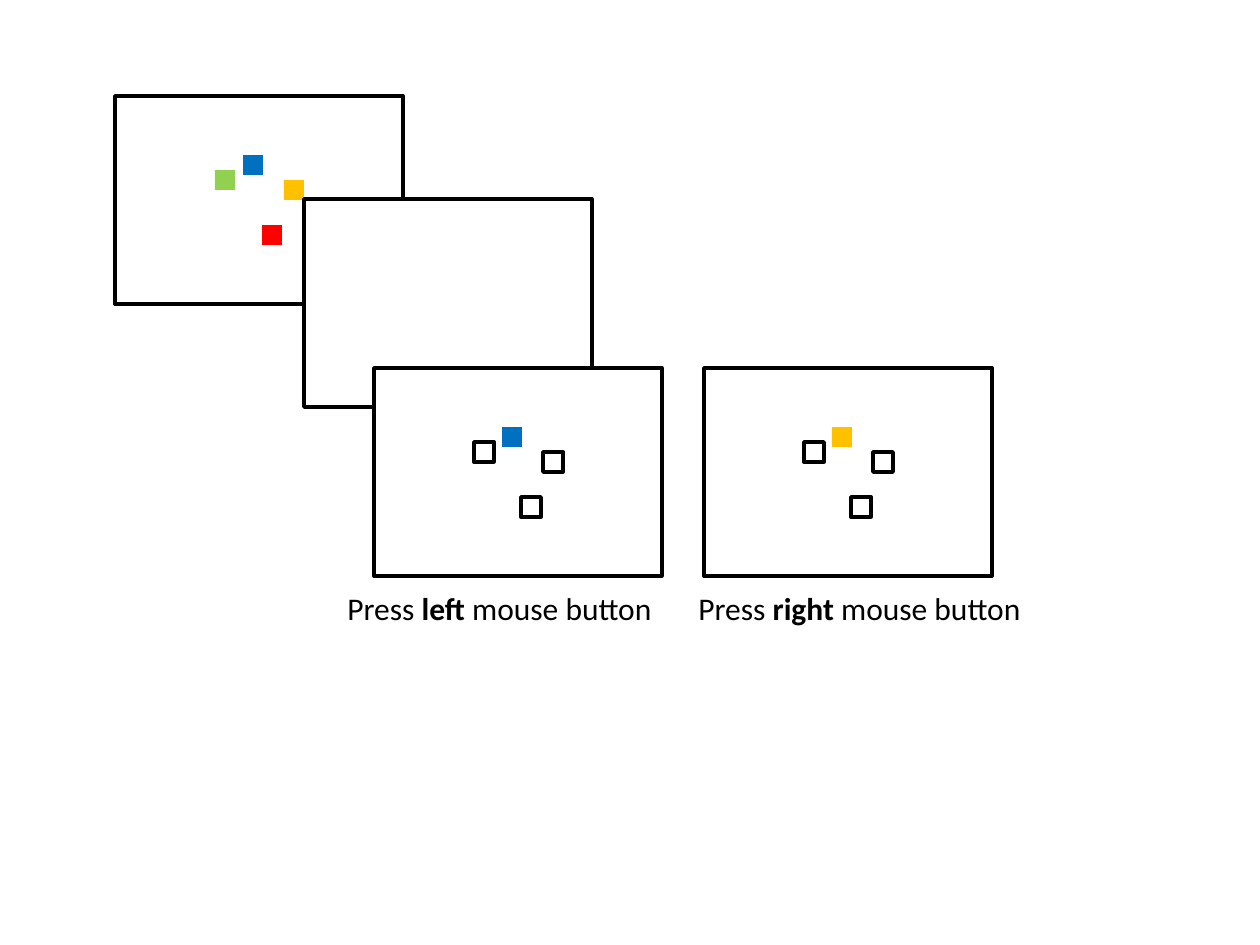
"""Build a slide of a colour-memory trial: study, blank and two test screens."""
import pptx
import pptx.util
import pptx.dml.color
import pptx.enum.shapes
import pptx.enum.text

PIXEL = 914400 / 126
BLACK, WHITE = "000000", "FFFFFF"
BLUE, GOLD, RED, GREEN = "0070C0", "FFC000", "FF0000", "92D050"

SCREEN_SIZE = (288, 208)
SQUARE_SIZE = (20, 20)
SQUARE_OFFSETS = [(128, 59), (169, 84), (147, 129), (100, 74)]

SCREENS = [
    ((115, 96), [BLUE, GOLD, RED, GREEN]),
    ((304, 199), []),
    ((704, 368), [GOLD, None, None, None]),
    ((374, 368), [BLUE, None, None, None]),
]
CAPTIONS = [
    ((335, 583, 333, 50), "left"),
    ((686, 583, 350, 50), "right"),
]


def emu(pixels):
    return pptx.util.Emu(round(pixels * PIXEL))


def colour(value):
    return pptx.dml.color.RGBColor.from_string(value)


def add_rectangle(slide, position, size, fill=None, outlined=False):
    shape = slide.shapes.add_shape(
        pptx.enum.shapes.MSO_SHAPE.RECTANGLE, *map(emu, position + size))
    shape.shadow.inherit = False
    if fill:
        shape.fill.solid()
        shape.fill.fore_color.rgb = colour(fill)
    else:
        shape.fill.background()
    if outlined:
        shape.line.color.rgb = colour(BLACK)
        shape.line.width = pptx.util.Pt(2)
    else:
        shape.line.fill.background()


def add_screen(slide, position, square_fills):
    add_rectangle(slide, position, SCREEN_SIZE, WHITE, outlined=True)
    left, top = position
    for (across, down), fill in zip(SQUARE_OFFSETS, square_fills):
        add_rectangle(slide, (left + across, top + down), SQUARE_SIZE, fill,
                      outlined=fill is None)


def add_caption(slide, box, side):
    frame = slide.shapes.add_textbox(*map(emu, box)).text_frame
    frame.word_wrap = False
    frame.auto_size = pptx.enum.text.MSO_AUTO_SIZE.SHAPE_TO_FIT_TEXT
    paragraph = frame.paragraphs[0]
    for text, bold in [("Press ", False), (side, True), (" mouse button", False)]:
        run = paragraph.add_run()
        run.text = text
        run.font.name = "Calibri"
        run.font.size = pptx.util.Pt(18)
        run.font.bold = bold
        run.font.color.rgb = colour(BLACK)


presentation = pptx.Presentation()
presentation.slide_width = emu(1260)
presentation.slide_height = emu(945)
slide = presentation.slides.add_slide(presentation.slide_layouts[6])
for position, square_fills in SCREENS:
    add_screen(slide, position, square_fills)
for box, side in CAPTIONS:
    add_caption(slide, box, side)
presentation.save("out.pptx")
